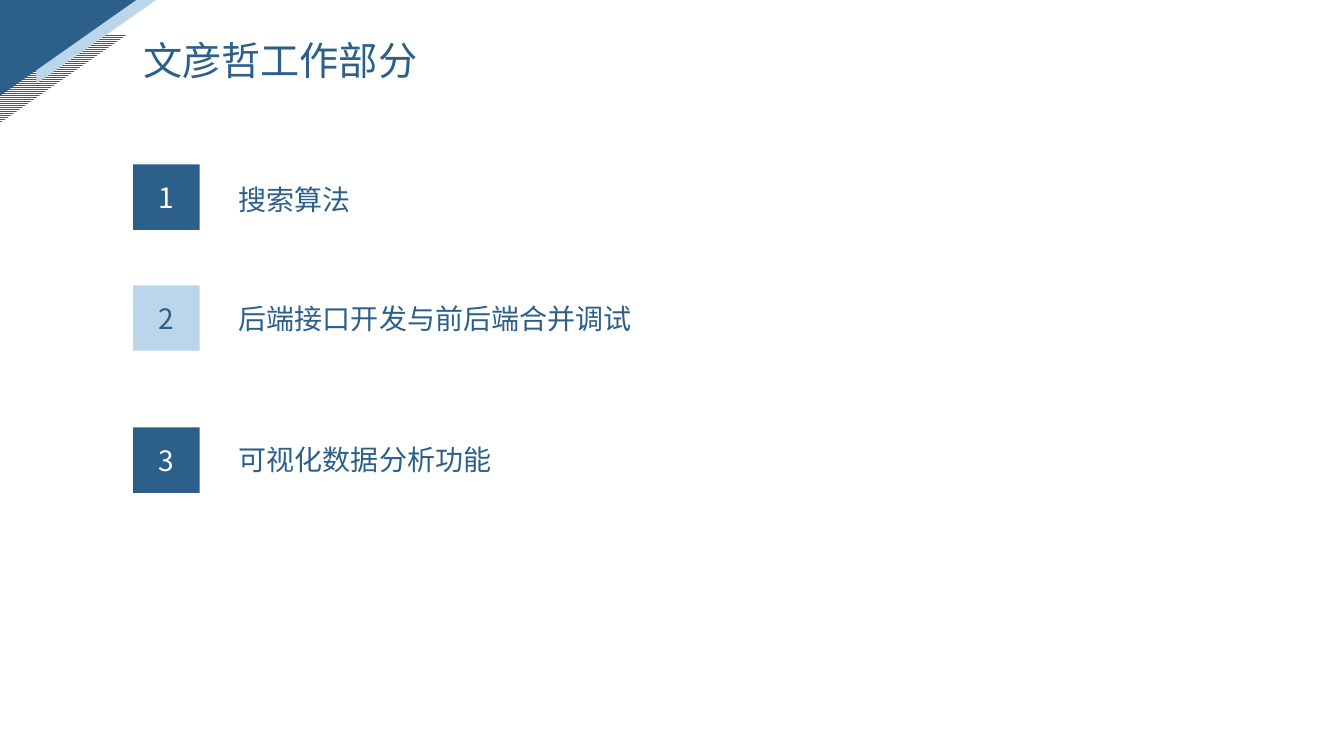
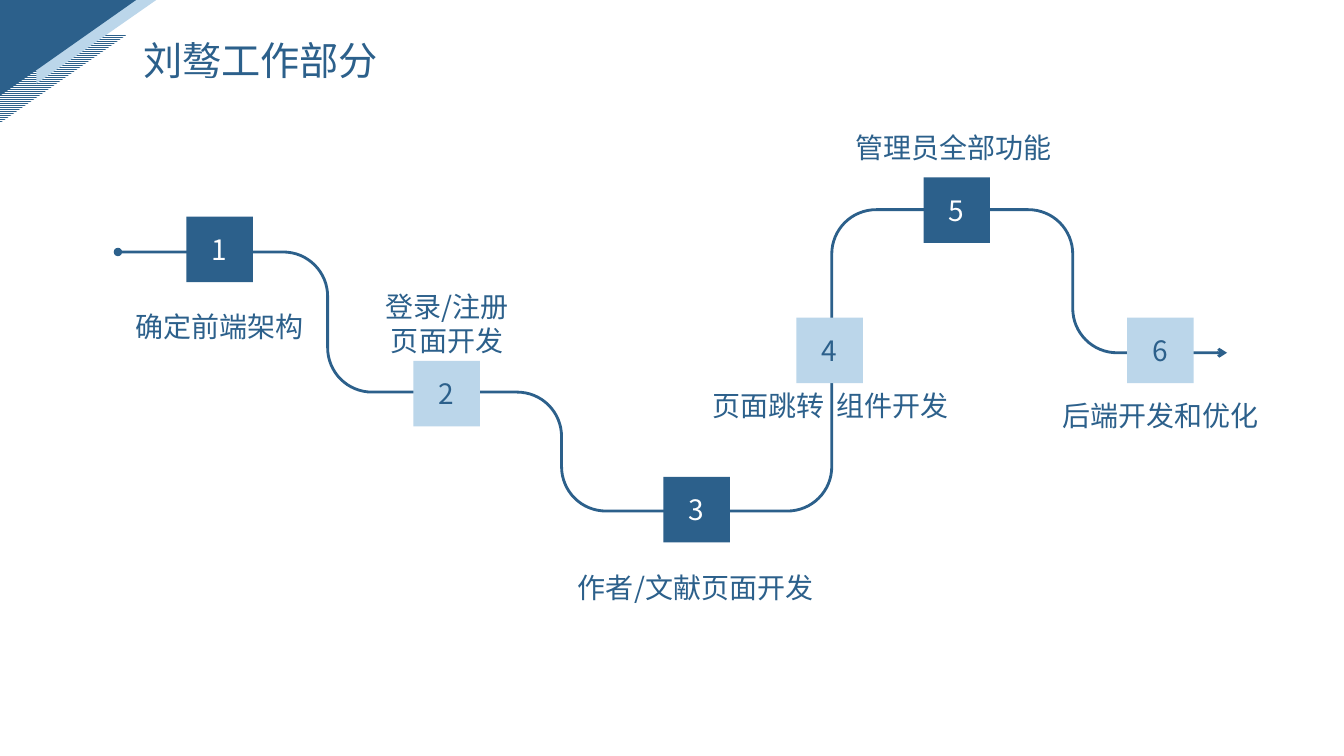
from math import cos, pi, sin

from pptx import Presentation
from pptx.dml.color import RGBColor
from pptx.enum.dml import MSO_PATTERN
from pptx.enum.shapes import MSO_SHAPE
from pptx.enum.text import MSO_ANCHOR, MSO_AUTO_SIZE, PP_ALIGN
from pptx.oxml.ns import qn
from pptx.util import Inches, Pt
from lxml import etree

DARK = RGBColor(0x2C, 0x60, 0x8B)
LIGHT = RGBColor(0xBB, 0xD6, 0xEA)
WHITE = RGBColor(0xFF, 0xFF, 0xFF)
FONT = "Noto Sans CJK SC"
LEFT, CENTER = PP_ALIGN.LEFT, PP_ALIGN.CENTER
MIDDLE = MSO_ANCHOR.MIDDLE
FIXED = MSO_AUTO_SIZE.NONE
RECT, WEDGE = MSO_SHAPE.RECTANGLE, MSO_SHAPE.RIGHT_TRIANGLE
STRIPES = MSO_PATTERN.LIGHT_HORIZONTAL
BOX_W, BOX_H = 0.66, 0.65
LINE_H = 0.44


class Deck:
    def __init__(self):
        self.prs = Presentation()
        self.prs.slide_width = Inches(13.33)
        self.prs.slide_height = Inches(7.5)
        self.slide = None

    def start(self, title):
        self.slide = self.prs.slides.add_slide(self.prs.slide_layouts[5])
        self.wedge(0, 0.35, 1.25, 0.87)
        self.wedge(0.36, 0, 1.19, 0.83, LIGHT)
        self.wedge(0, 0, 1.35, 0.95, DARK)
        head = self.slide.shapes.title
        head.left, head.top = Inches(1.32), Inches(0.31)
        head.width, head.height = Inches(5.35), Inches(0.57)
        self.words(head, [title], size=28)

    def words(self, shape, lines, size=20, color=DARK, align=LEFT, tab=None):
        frame = shape.text_frame
        frame.word_wrap = True
        frame.auto_size = FIXED
        frame.vertical_anchor = MIDDLE
        for i, line in enumerate(lines):
            para = frame.add_paragraph() if i else frame.paragraphs[0]
            para.alignment = align
            para.line_spacing = Pt(size * 1.2)
            if tab:
                tabs = etree.SubElement(para._p.get_or_add_pPr(), qn("a:tabLst"))
                etree.SubElement(tabs, qn("a:tab"), pos=str(Inches(tab)), algn="l")
            run = para.add_run()
            run.text = line
            run.font.size = Pt(size)
            run.font.name = FONT
            run.font.color.rgb = color
            etree.SubElement(run._r.get_or_add_rPr(), qn("a:ea"), typeface=FONT)

    def shape(self, kind, x, y, w, h):
        item = self.slide.shapes.add_shape(
            kind, Inches(x), Inches(y), Inches(w), Inches(h))
        item.shadow.inherit = False
        item.line.fill.background()
        return item

    def wedge(self, x, y, w, h, color=None):
        shift = (w - h) / 2
        item = self.shape(WEDGE, x + shift, y - shift, h, w)
        item.rotation = 90
        if color:
            item.fill.solid()
            item.fill.fore_color.rgb = color
        else:
            item.fill.patterned()
            item.fill.pattern = STRIPES
            item.fill.fore_color.rgb = DARK
            item.fill.back_color.rgb = WHITE

    def badge(self, number, x, y):
        odd = number % 2
        item = self.shape(RECT, x, y, BOX_W, BOX_H)
        item.fill.solid()
        item.fill.fore_color.rgb = DARK if odd else LIGHT
        self.words(item, [str(number)], color=WHITE if odd else DARK, align=CENTER)

    def label(self, lines, x, y, w, h=LINE_H, align=LEFT, tab=None):
        box = self.slide.shapes.add_textbox(
            Inches(x), Inches(y), Inches(w), Inches(h))
        self.words(box, lines, align=align, tab=tab)

    def route(self, stops, bend=0.44, steps=16):
        points = [stops[0]]
        for (ax, ay), (bx, by), (cx, cy) in zip(stops, stops[1:], stops[2:]):
            far_in = abs(bx - ax) + abs(by - ay)
            far_out = abs(cx - bx) + abs(cy - by)
            ix, iy = (bx - ax) / far_in, (by - ay) / far_in
            ox, oy = (cx - bx) / far_out, (cy - by) / far_out
            for step in range(steps + 1):
                turn = step / steps * pi / 2
                back, out = bend * (1 - sin(turn)), bend * (1 - cos(turn))
                points.append((bx - ix * back + ox * out,
                               by - iy * back + oy * out))
        points.append(stops[-1])
        spots = [(Inches(x), Inches(y)) for x, y in points]
        pen = self.slide.shapes.build_freeform(*spots[0], scale=1.0)
        pen.add_line_segments(spots[1:], close=False)
        track = pen.convert_to_shape()
        track.shadow.inherit = False
        track.fill.background()
        track.line.color.rgb = DARK
        track.line.width = Pt(2)
        stroke = track.element.spPr.find(qn("a:ln"))
        etree.SubElement(stroke, qn("a:headEnd"), type="oval")
        etree.SubElement(stroke, qn("a:tailEnd"), type="arrow")


def main():
    deck = Deck()

    deck.start("文彦哲工作部分")
    tasks = [
        ("搜索算法", 1.63, 1.76),
        ("后端接口开发与前后端合并调试", 2.83, 2.94),
        ("可视化数据分析功能", 4.24, 4.34),
    ]
    for number, (text, top, text_top) in enumerate(tasks, 1):
        deck.badge(number, 1.32, top)
        deck.label([text], 2.27, text_top, 5.26)

    deck.start("刘骜工作部分")
    deck.route([
        (1.17, 2.5), (3.25, 2.5), (3.25, 3.89), (5.57, 3.89), (5.57, 5.07),
        (8.25, 5.07), (8.25, 2.08), (10.64, 2.08), (10.64, 3.5), (12.17, 3.5),
    ])
    badges = [(1.85, 2.15), (4.1, 3.58), (6.58, 4.73),
              (7.9, 3.15), (9.16, 1.76), (11.18, 3.15)]
    for number, (x, y) in enumerate(badges, 1):
        deck.badge(number, x, y)
    labels = [
        ("确定前端架构", 1.17, 3.02, 2.02),
        ("作者/文献页面开发", 5.4, 5.61, 3),
        ("管理员全部功能", 8.32, 1.24, 2.28),
        ("后端开发和优化", 10.38, 3.9, 2.26),
    ]
    for text, x, y, w in labels:
        deck.label([text], x, y, w, align=CENTER)
    deck.label(["登录/注册", "页面开发"], 3.5, 2.82, 1.87, 0.77, CENTER)
    deck.label(["页面跳转\t组件开发"], 6.97, 3.8, 2.64, tab=1.23)

    deck.prs.save("out.pptx")


if __name__ == "__main__":
    main()
